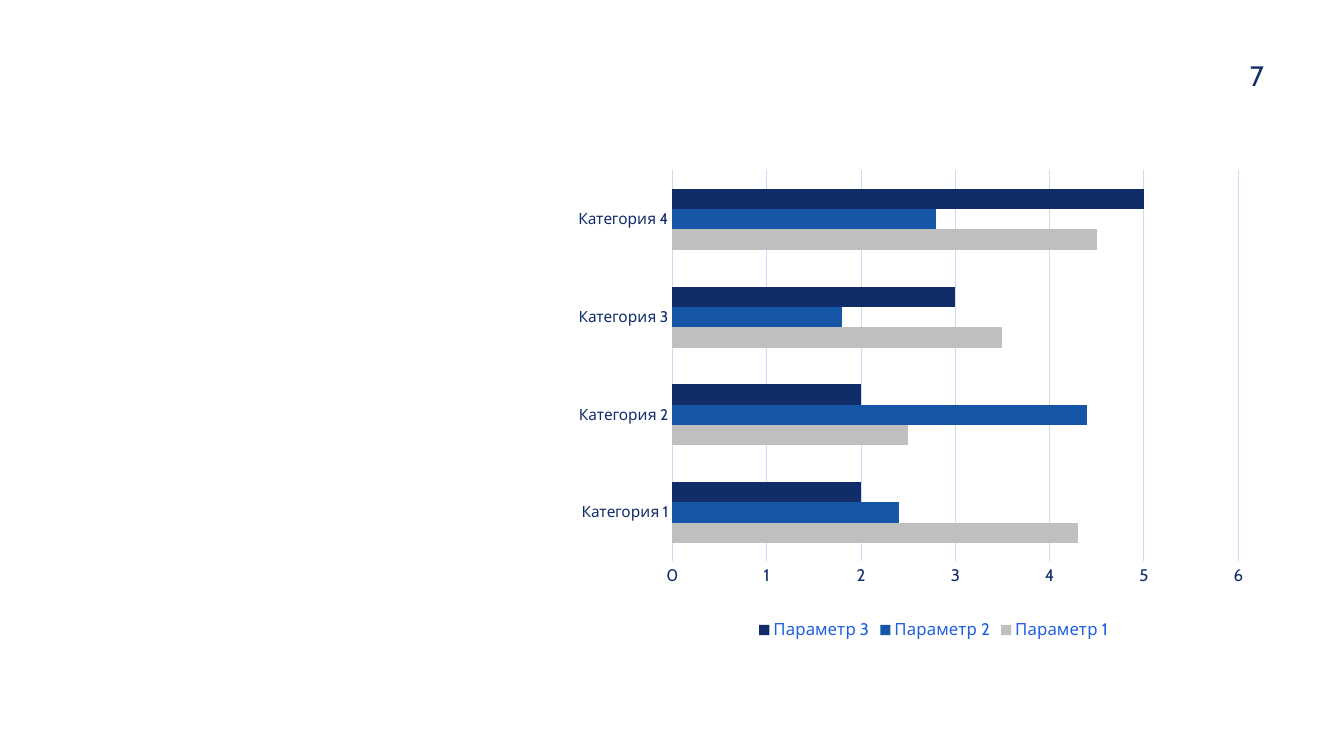
"""Build a slide with a clustered bar chart of three parameters over four categories."""
from dataclasses import dataclass

from lxml.etree import SubElement
from pptx import Presentation
from pptx.chart.chart import Chart
from pptx.chart.data import CategoryChartData
from pptx.dml.color import RGBColor
from pptx.dml.line import LineFormat
from pptx.enum.chart import XL_CHART_TYPE as ChartType
from pptx.enum.chart import XL_LEGEND_POSITION as LegendPosition
from pptx.enum.chart import XL_TICK_MARK as TickMark
from pptx.oxml.ns import qn
from pptx.slide import Slide
from pptx.text.text import Font
from pptx.util import Pt

NAVY = "102D69"
GRID = "CCDAF8"
LEGEND_BLUE = "215FDF"
CATEGORIES = [f"Категория {number}" for number in range(1, 5)]


@dataclass(frozen=True)
class Parameter:
    name: str
    values: tuple[float, ...]
    color: str


PARAMETERS = (
    Parameter("Параметр 1", (4.3, 2.5, 3.5, 4.5), "BFBFBF"),
    Parameter("Параметр 2", (2.4, 4.4, 1.8, 2.8), "1656A6"),
    Parameter("Параметр 3", (2, 2, 3, 5), NAVY),
)


def rgb(color: str) -> RGBColor:
    return RGBColor.from_string(color)


def style_font(font: Font, size: float, color: str, name: str = "Cabin") -> None:
    font.size = Pt(size)
    font.name = name
    font.color.rgb = rgb(color)


def style_line(line: LineFormat, color: str) -> None:
    line.color.rgb = rgb(color)
    line.width = Pt(0.75)


def place_plot(chart: Chart, x: float, y: float, w: float, h: float) -> None:
    plot_area = chart.element.chart.plotArea
    for old_layout in plot_area.findall(qn("c:layout")):
        plot_area.remove(old_layout)
    layout = SubElement(plot_area, qn("c:layout"))
    plot_area.insert(0, layout)
    manual = SubElement(layout, qn("c:manualLayout"))
    settings = {"layoutTarget": "inner", "xMode": "edge", "yMode": "edge",
                "x": x, "y": y, "w": w, "h": h}
    for tag, value in settings.items():
        SubElement(manual, qn(f"c:{tag}")).set("val", str(value))


def style_axes(chart: Chart) -> None:
    for axis, size in ((chart.category_axis, 11), (chart.value_axis, 12)):
        axis.major_tick_mark = axis.minor_tick_mark = TickMark.NONE
        style_font(axis.tick_labels.font, size, NAVY)
    style_line(chart.category_axis.format.line, GRID)
    value_axis = chart.value_axis
    value_axis.minimum_scale, value_axis.maximum_scale = 0, 6
    value_axis.major_unit = 1
    value_axis.format.line.fill.background()
    style_line(value_axis.major_gridlines.format.line, GRID)


def add_parameter_chart(slide: Slide) -> None:
    data = CategoryChartData()
    data.categories = CATEGORIES
    for parameter in PARAMETERS:
        data.add_series(parameter.name, parameter.values)
    chart = slide.shapes.add_chart(
        ChartType.BAR_CLUSTERED, Pt(412), Pt(80), Pt(509.75), Pt(380), data
    ).chart
    chart.has_title = False
    style_font(chart.font, 10, "0F2C68", "Calibri")

    plot = chart.plots[0]
    plot.gap_width = 182
    plot.overlap = 0
    plot.vary_by_categories = False
    for series, parameter in zip(plot.series, PARAMETERS):
        series.format.fill.solid()
        series.format.fill.fore_color.rgb = rgb(parameter.color)
    style_axes(chart)
    place_plot(chart, 0.134, 0.11, 0.793, 0.735)

    chart.has_legend = True
    chart.legend.position = LegendPosition.BOTTOM
    chart.legend.include_in_layout = False
    style_font(chart.legend.font, 12, LEGEND_BLUE)


def add_page_number(slide: Slide, number: str) -> None:
    box = slide.shapes.add_textbox(Pt(892.8), Pt(41.8), Pt(52.5), Pt(24.5))
    frame = box.text_frame
    frame.word_wrap = True
    frame.margin_left = frame.margin_right = frame.margin_top = frame.margin_bottom = 0
    frame.text = number
    style_font(frame.paragraphs[0].runs[0].font, 20, NAVY)


def main() -> None:
    presentation = Presentation()
    presentation.slide_width, presentation.slide_height = Pt(960), Pt(540)
    slide = presentation.slides.add_slide(presentation.slide_layouts[6])
    add_page_number(slide, "7")
    add_parameter_chart(slide)
    presentation.save("out.pptx")


if __name__ == "__main__":
    main()
